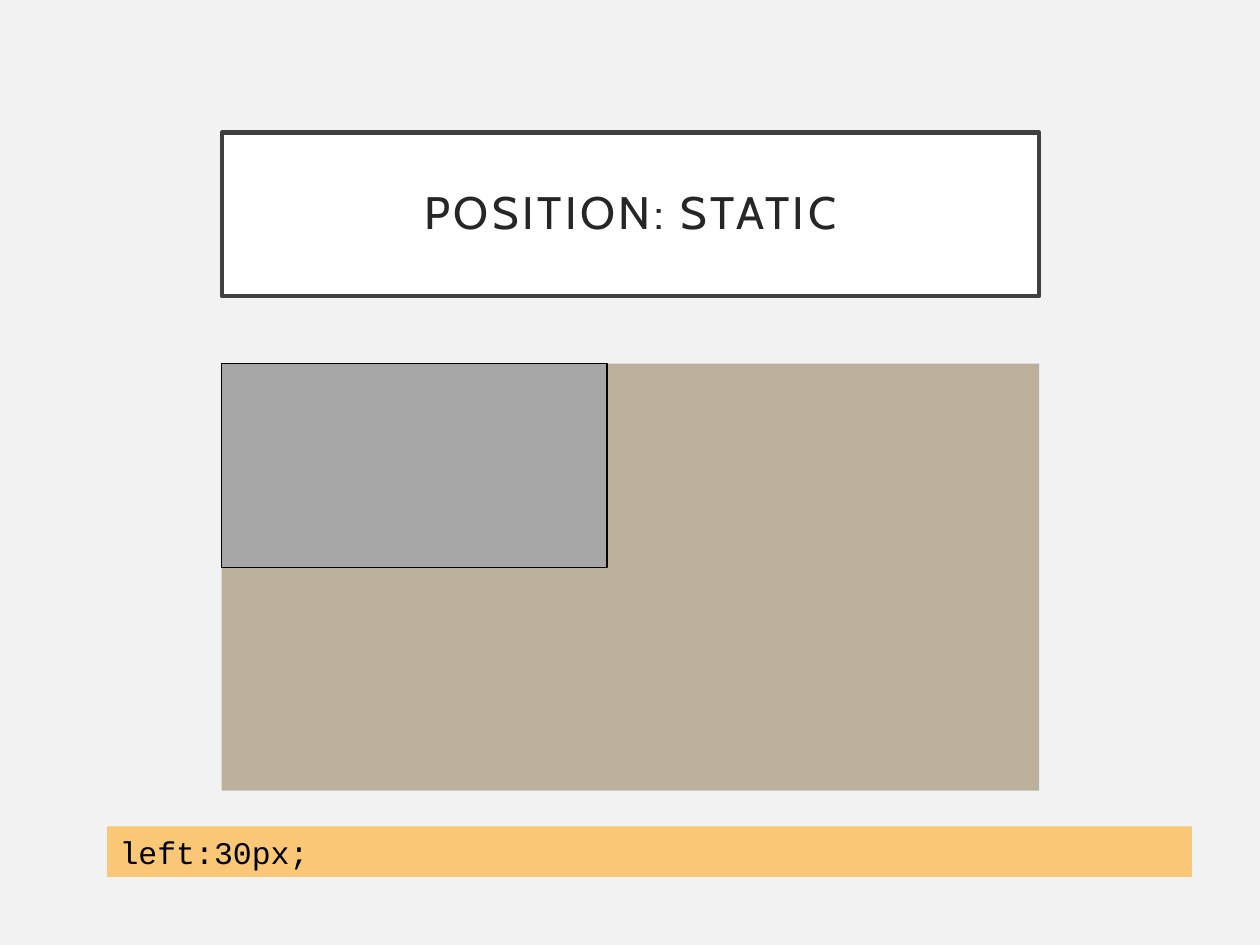
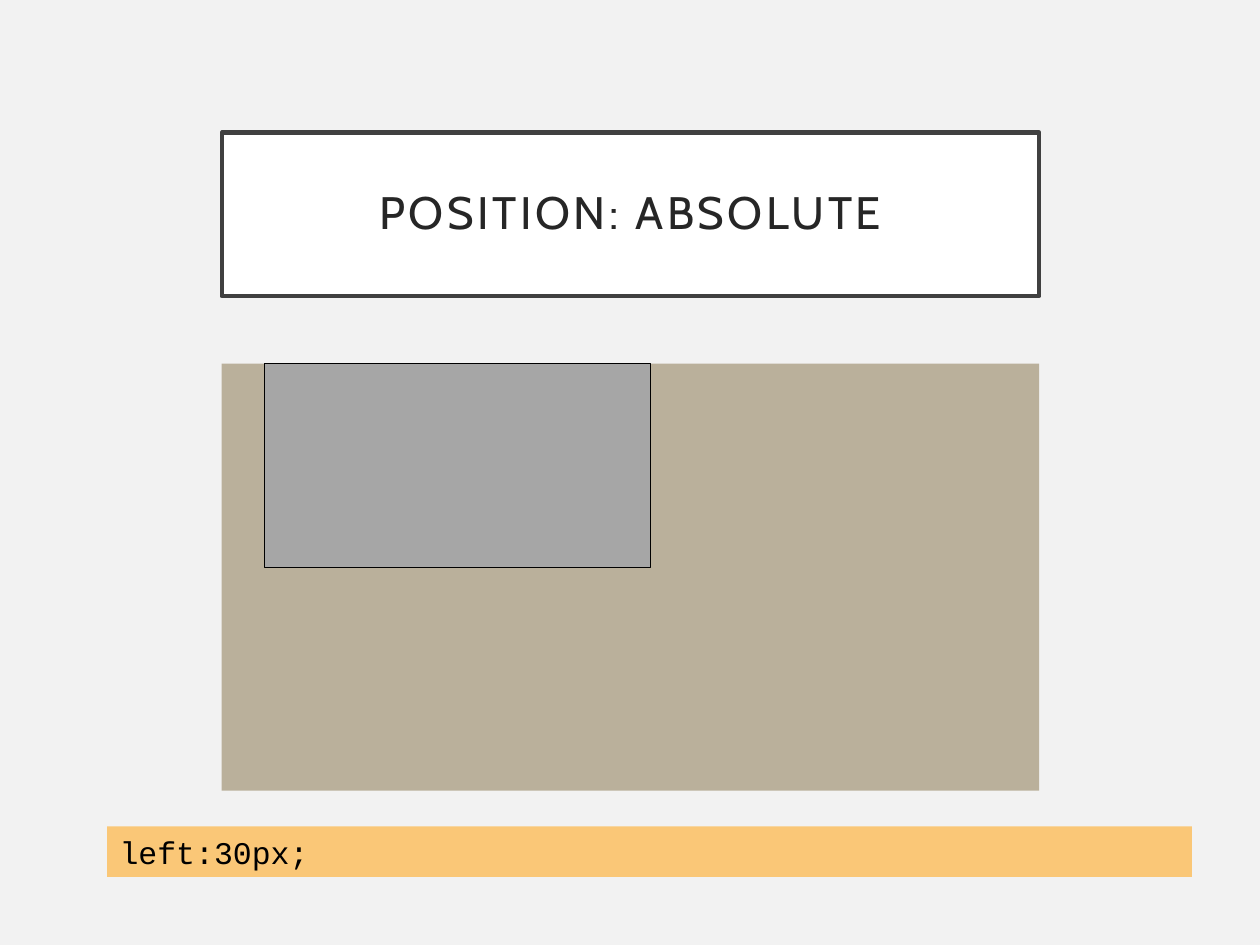
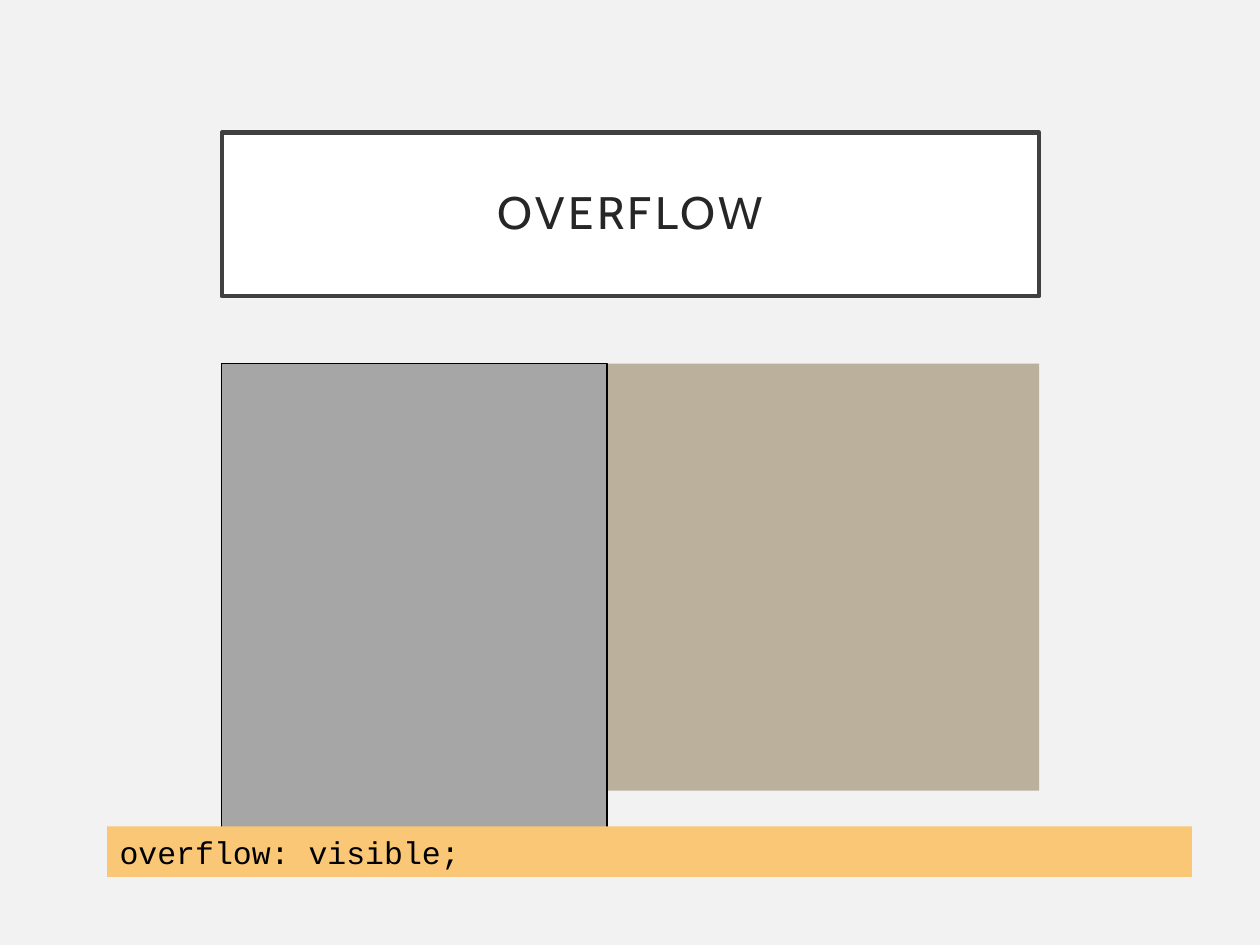
"""Build three slides on CSS positioning and overflow."""
from pptx import Presentation
from pptx.dml.color import RGBColor
from pptx.enum.shapes import MSO_SHAPE as Kind
from pptx.enum.text import MSO_ANCHOR as Anchor, MSO_AUTO_SIZE as Fit, PP_ALIGN as Align
from pptx.oxml.ns import qn
from pptx.util import Cm, Pt

PAPER = RGBColor(0xF2, 0xF2, 0xF2)
WHITE = RGBColor(0xFF, 0xFF, 0xFF)
BLACK = RGBColor(0x00, 0x00, 0x00)
FRAME = RGBColor(0x40, 0x40, 0x40)
INK = RGBColor(0x26, 0x26, 0x26)
SAND = RGBColor(0xBA, 0xB0, 0x9B)
GREY = RGBColor(0xA6, 0xA6, 0xA6)
AMBER = RGBColor(0xFA, 0xC7, 0x77)

LEFT, TOP, WIDTH = 4.47, 7.33, 16.48
PAD = Cm(0.51)
HEAD = {
    "frame": {"margin_left": PAD, "margin_right": PAD, "margin_top": PAD,
              "margin_bottom": PAD, "vertical_anchor": Anchor.MIDDLE,
              "word_wrap": True, "auto_size": Fit.NONE},
    "par": {"alignment": Align.CENTER, "line_spacing": 0.9},
    "font": {"name": "Cabin", "size": Pt(26)},
}
CODE = {
    "frame": {"vertical_anchor": Anchor.TOP, "word_wrap": True,
              "auto_size": Fit.SHAPE_TO_FIT_TEXT},
    "par": {"alignment": Align.LEFT},
    "font": {"name": "Courier New", "size": Pt(18)},
}


class Deck:
    """Hold the shared style and the current slide."""

    def __init__(self):
        self.prs = Presentation()
        self.prs.slide_width, self.prs.slide_height = Cm(25.4), Cm(19.05)
        fill = self.prs.slide_master.background.fill
        fill.solid()
        fill.fore_color.rgb = PAPER

    def apply(self, item, look):
        for key, value in look.items():
            setattr(item, key, value)

    def paint(self, shape, color, edge=None, width=0):
        shape.fill.solid()
        shape.fill.fore_color.rgb = color
        if edge is None:
            shape.line.fill.background()
        else:
            shape.line.color.rgb = edge
            shape.line.width = Pt(width)

    def label(self, shape, text, look, color):
        frame = shape.text_frame
        self.apply(frame, look["frame"])
        par = frame.paragraphs[0]
        self.apply(par, look["par"])
        run = par.add_run()
        run.text = text
        self.apply(run.font, look["font"])
        run.font.color.rgb = color

    def title(self, text):
        self.slide = self.prs.slides.add_slide(self.prs.slide_layouts[5])
        shape = self.slide.shapes.title
        self.apply(shape, {"left": Cm(LEFT), "top": Cm(2.67),
                           "width": Cm(WIDTH), "height": Cm(3.3)})
        self.paint(shape, WHITE, FRAME, 2.5)
        self.label(shape, text, HEAD, INK)
        for props in shape.element.iter(qn("a:rPr")):
            props.set("spc", "200")

    def box(self, place, color, edge=None, width=0):
        shape = self.slide.shapes.add_shape(Kind.RECTANGLE, *map(Cm, place))
        shape.shadow.inherit = False
        self.paint(shape, color, edge, width)
        return shape

    def stage(self, shift, height):
        self.box((LEFT, TOP, WIDTH, 8.61), SAND)
        self.box((LEFT + shift, TOP, 7.77, height), GREY, BLACK, 0.75)

    def code(self, text):
        bar = self.box((2.16, 16.66, 21.87, 1.02), AMBER)
        self.label(bar, text, CODE, BLACK)


def main():
    deck = Deck()
    for title, shift, height, code in (
        ("POSITION: STATIC", 0, 4.11, "left:30px;"),
        ("POSITION: ABSOLUTE", 0.87, 4.11, "left:30px;"),
        ("OVERFLOW", 0, 9.5, "overflow: visible;"),
    ):
        deck.title(title)
        deck.stage(shift, height)
        deck.code(code)
    deck.prs.save("out.pptx")


if __name__ == "__main__":
    main()
